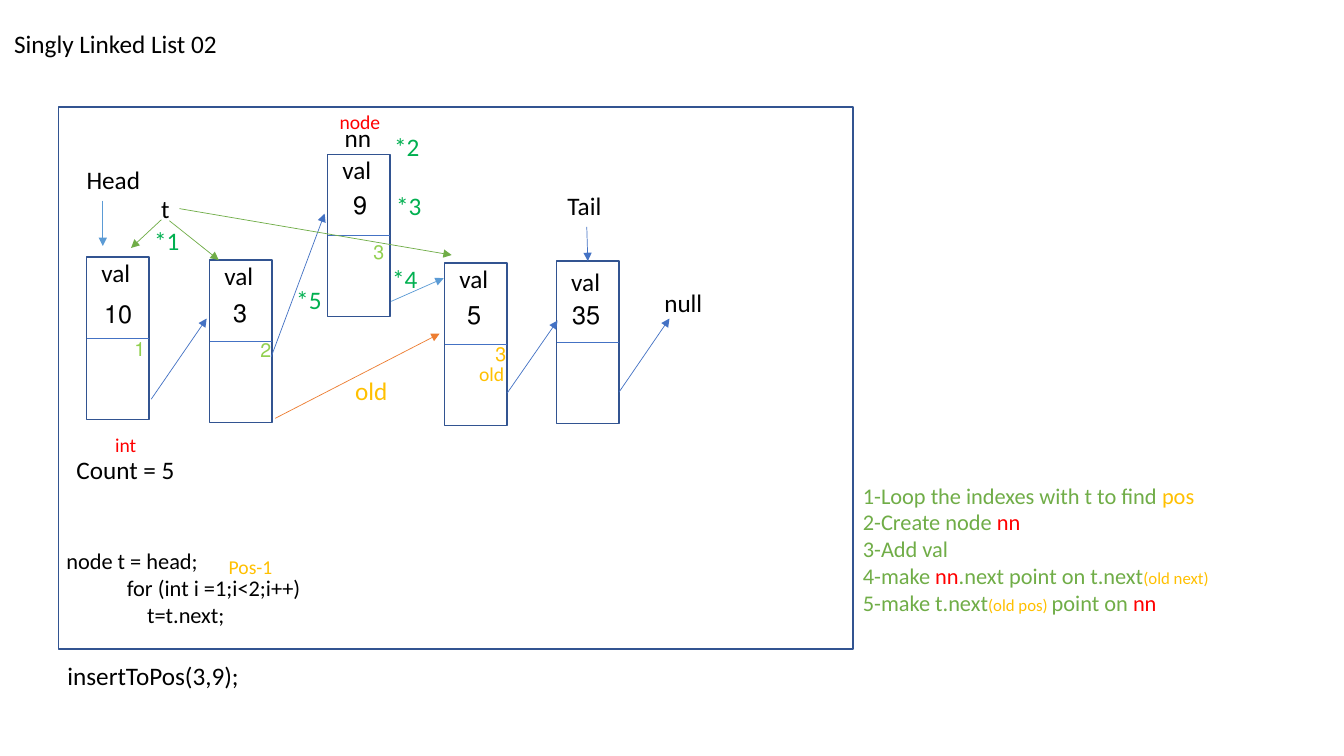
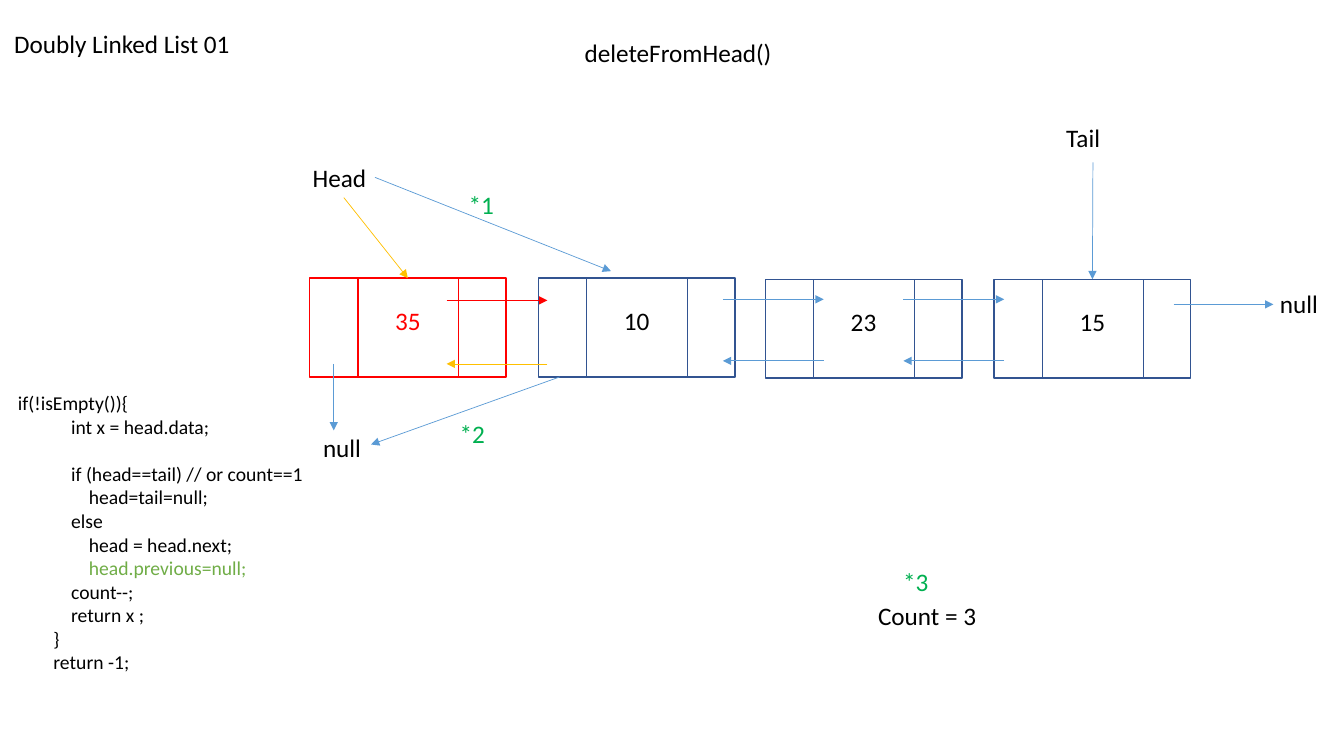
from dataclasses import dataclass
from typing import Any, Optional, Sequence

from lxml import etree
from pptx import Presentation
from pptx import util as u
from pptx.dml.color import RGBColor
from pptx.enum import shapes, text
from pptx.oxml import ns

PX = 9144  # EMU; 100 px to the inch
FONT = "Calibri"
BLACK = RGBColor(0x00, 0x00, 0x00)
WHITE = RGBColor(0xFF, 0xFF, 0xFF)
RED = RGBColor(0xFF, 0x00, 0x00)
GOLD = RGBColor(0xFF, 0xC0, 0x00)
ORANGE = RGBColor(0xED, 0x7D, 0x31)
GREEN = RGBColor(0x70, 0xAD, 0x47)
STEP_GREEN = RGBColor(0x00, 0xB0, 0x50)
LIME = RGBColor(0x92, 0xD0, 0x50)
NAVY = RGBColor(0x32, 0x54, 0x91)
BLUE = RGBColor(0x44, 0x72, 0xC4)
SKY = RGBColor(0x5B, 0x9B, 0xD5)

LEFT, CENTER, RIGHT = text.PP_ALIGN.LEFT, text.PP_ALIGN.CENTER, text.PP_ALIGN.RIGHT
LINE_HEIGHT = {18: 40, 16: 37, 14: 34}
NODE_WIDTH, NODE_HEIGHT = 62, 161
CELL_WIDTH, CELL_HEIGHT, DATA_INSET, DATA_WIDTH = 195, 98, 48, 100


@dataclass(frozen=True)
class Run:
    text: str
    color: RGBColor = BLACK
    size: int = 18


@dataclass(frozen=True)
class Label:
    x: int
    y: int
    width: int
    text: str
    color: RGBColor = BLACK
    size: int = 18
    align: Any = LEFT


@dataclass(frozen=True)
class Arrow:
    x1: int
    y1: int
    x2: int
    y2: int
    color: RGBColor = SKY


@dataclass(frozen=True)
class Node:
    """A singly linked node; value_right and value_y are offsets from its corner."""
    x: int
    y: int
    value: str
    value_right: int
    value_y: int
    val_y: int = -5


@dataclass(frozen=True)
class Cell:
    """A doubly linked node."""
    x: int
    y: int
    value: str
    line: RGBColor = NAVY
    color: RGBColor = BLACK


def px(length: int) -> u.Emu:
    return u.Emu(length * PX)


def add_run(paragraph: Any, run: Run) -> None:
    piece = paragraph.add_run()
    piece.text = run.text
    piece.font.name = FONT
    piece.font.size = u.Pt(run.size)
    piece.font.color.rgb = run.color


def add_lines(target: Any, x: int, y: int, width: int, height: int,
              lines: Sequence[Sequence[Run]], align: Any = LEFT) -> Any:
    """Add a text box with one paragraph for each list of runs."""
    box = target.add_textbox(px(x), px(y), px(width), px(height))
    frame = box.text_frame
    frame.word_wrap = True
    frame.auto_size = text.MSO_AUTO_SIZE.SHAPE_TO_FIT_TEXT
    for index, runs in enumerate(lines):
        paragraph = frame.add_paragraph() if index else frame.paragraphs[0]
        paragraph.alignment = align
        if align == RIGHT:
            paragraph._p.get_or_add_pPr().set("rtl", "1")
        for run in runs:
            add_run(paragraph, run)
    return box


def add_label(target: Any, label: Label) -> None:
    add_lines(target, label.x, label.y, label.width, LINE_HEIGHT[label.size],
              [[Run(label.text, label.color, label.size)]], label.align)


def add_box(target: Any, x: int, y: int, width: int, height: int,
            line: RGBColor = NAVY, fill: Optional[RGBColor] = None) -> Any:
    box = target.add_shape(shapes.MSO_SHAPE.RECTANGLE, px(x), px(y), px(width), px(height))
    box.shadow.inherit = False
    if fill is None:
        box.fill.background()
    else:
        box.fill.solid()
        box.fill.fore_color.rgb = fill
    box.line.color.rgb = line
    box.line.width = u.Pt(1)
    return box


def add_line(target: Any, arrow: Arrow, head: bool = True) -> Any:
    line = target.add_connector(shapes.MSO_CONNECTOR.STRAIGHT, px(arrow.x1), px(arrow.y1),
                                px(arrow.x2), px(arrow.y2))
    line.line.color.rgb = arrow.color
    line.line.width = u.Pt(0.5)
    if head:
        etree.SubElement(line.line._get_or_add_ln(), ns.qn("a:tailEnd"), type="triangle")
    etree.SubElement(line._element.spPr, ns.qn("a:effectLst"))
    return line


def add_node(target: Any, node: Node) -> Any:
    box = add_box(target, node.x, node.y, NODE_WIDTH, NODE_HEIGHT, fill=WHITE)
    middle = node.y + NODE_HEIGHT // 2
    divider = add_line(target, Arrow(node.x, middle, node.x + NODE_WIDTH, middle, BLUE), head=False)
    divider.begin_connect(box, 1)
    divider.end_connect(box, 3)
    add_label(target, Label(node.x - 1, node.y + node.val_y, 54, "val", align=RIGHT))
    add_label(target, Label(node.x + node.value_right - 50, node.y + node.value_y, 50,
                            node.value, align=RIGHT))
    return box


def add_cell(target: Any, cell: Cell) -> Any:
    group = target.add_group_shape().shapes
    outer = add_box(group, cell.x, cell.y, CELL_WIDTH, CELL_HEIGHT, cell.line)
    add_box(group, cell.x + DATA_INSET, cell.y, DATA_WIDTH, CELL_HEIGHT, cell.line)
    add_label(group, Label(cell.x + 61, cell.y + 22, 73, cell.value, cell.color, align=CENTER))
    return outer


def add_titled_slide(presentation: Any, title: str) -> Any:
    slide = presentation.slides.add_slide(presentation.slide_layouts[5])
    holder = slide.shapes.title
    holder.left, holder.top, holder.width, holder.height = px(4), px(23), px(268), px(40)
    frame = holder.text_frame
    frame.word_wrap = True
    frame.auto_size = text.MSO_AUTO_SIZE.NONE
    frame.vertical_anchor = text.MSO_ANCHOR.TOP
    frame.paragraphs[0].alignment = LEFT
    add_run(frame.paragraphs[0], Run(title))
    return slide


def add_diagram(target: Any, arrows: Sequence[Arrow], labels: Sequence[Label]) -> None:
    for arrow in arrows:
        add_line(target, arrow)
    for label in labels:
        add_label(target, label)


def build_insert_slide(presentation: Any) -> None:
    target = add_titled_slide(presentation, "Singly Linked List 02").shapes
    add_box(target, 58, 106, 788, 538)
    nodes = [
        Node(86, 255, "10", 55, 36),
        Node(208, 258, "3", 47, 32),
        Node(325, 153, "9", 49, 30),
        Node(441, 261, "5", 46, 31),
        Node(552, 259, "35", 53, 33, val_y=0),
    ]
    tail_box = [add_node(target, node) for node in nodes][-1]
    add_line(target, Arrow(582, 225, 583, 259, BLUE)).end_connect(tail_box, 0)
    arrows = [
        Arrow(102, 199, 102, 244),
        Arrow(150, 396, 205, 316, BLUE),
        Arrow(269, 354, 322, 212, BLUE),
        Arrow(503, 390, 553, 318, BLUE),
        Arrow(614, 389, 664, 316, BLUE),
        Arrow(388, 299, 440, 276),
        Arrow(273, 415, 436, 331, ORANGE),
        Arrow(160, 218, 130, 246, GREEN),
        Arrow(168, 219, 217, 258, GREEN),
        Arrow(178, 207, 448, 253, GREEN),
    ]
    labels = [
        Label(332, 116, 108, "nn"),
        Label(553, 184, 57, "Tail"),
        Label(66, 446, 151, "Count = 5"),
        Label(649, 280, 72, "null"),
        Label(76, 158, 108, "Head"),
        Label(101, 187, 77, "t", align=RIGHT),
        Label(57, 650, 199, "insertToPos(3,9);"),
        Label(325, 104, 62, "node", RED, 14, RIGHT),
        Label(83, 425, 62, "int", RED, 14, RIGHT),
        Label(340, 367, 54, "old", GOLD, align=RIGHT),
        Label(100, 329, 54, "1", LIME, 14, RIGHT),
        Label(225, 330, 54, "2", LIME, 14, RIGHT),
        Label(337, 233, 54, "3", LIME, 14, RIGHT),
        Label(458, 334, 54, "3", GOLD, 14, RIGHT),
        Label(456, 354, 54, "old", GOLD, 14, RIGHT),
        Label(217, 546, 83, "Pos-1", GOLD, 14),
        Label(143, 219, 50, "*1", STEP_GREEN),
        Label(381, 125, 50, "*2", STEP_GREEN),
        Label(383, 184, 50, "*3", STEP_GREEN),
        Label(379, 256, 50, "*4", STEP_GREEN),
        Label(284, 277, 50, "*5", STEP_GREEN),
    ]
    add_diagram(target, arrows, labels)
    steps = [
        [Run("1-Loop the indexes with t to find ", GREEN, 16), Run("pos", GOLD, 16)],
        [Run("2-Create node ", GREEN, 16), Run("nn", RED, 16)],
        [Run("3-Add val", GREEN, 16)],
        [Run("4-make ", GREEN, 16), Run("nn", RED, 16),
         Run(".next point on t.next", GREEN, 16), Run("(old next)", GOLD, 12)],
        [Run("5-make t.next", GREEN, 16), Run("(old pos) ", GOLD, 12),
         Run("point on ", GREEN, 16), Run("nn", RED, 16)],
    ]
    add_lines(target, 846, 473, 381, 145, steps)
    code = ["node t = head;", "            for (int i =1;i<2;i++)", "                t=t.next;"]
    add_lines(target, 56, 538, 291, 91, [[Run(line, size=16)] for line in code])


def build_delete_slide(presentation: Any) -> None:
    target = add_titled_slide(presentation, "Doubly Linked List 01").shapes
    cells = [
        Cell(307, 276, "35", RED, RED),
        Cell(534, 276, "10"),
        Cell(759, 277, "23"),
        Cell(986, 277, "15"),
    ]
    boxes = [add_cell(target, cell) for cell in cells]
    add_line(target, Arrow(341, 196, 405, 276, GOLD)).end_connect(boxes[0], 0)
    add_line(target, Arrow(1084, 161, 1084, 277)).end_connect(boxes[-1], 0)
    arrows = [
        Arrow(443, 298, 543, 298, RED),
        Arrow(543, 361, 443, 361, GOLD),
        Arrow(717, 297, 817, 297),
        Arrow(817, 358, 717, 358),
        Arrow(896, 297, 996, 297),
        Arrow(996, 358, 896, 358),
        Arrow(1164, 302, 1263, 302),
        Arrow(331, 361, 331, 427),
        Arrow(372, 176, 606, 269),
        Arrow(555, 374, 368, 441),
    ]
    labels = [
        Label(570, 32, 215, "deleteFromHead()"),
        Label(1041, 116, 60, "Tail", align=RIGHT),
        Label(203, 156, 170, "Head", align=RIGHT),
        Label(285, 424, 83, "null", align=RIGHT),
        Label(1194, 281, 123, "null", align=RIGHT),
        Label(861, 591, 151, "Count = 3"),
        Label(455, 183, 50, "*1", STEP_GREEN),
        Label(446, 410, 50, "*2", STEP_GREEN),
        Label(886, 557, 50, "*3", STEP_GREEN),
    ]
    add_diagram(target, arrows, labels)
    code = [
        "if(!isEmpty()){",
        "            int x = head.data;",
        "            if (head==tail) // or count==1",
        "                head=tail=null;",
        "            else",
        "                head = head.next;",
        "                head.previous=null;",
        "            count--;",
        "            return x ;",
        "        }",
        "        return -1;",
    ]
    lines = [[Run(line, GREEN if "previous" in line else BLACK, 14)] for line in code]
    box = add_lines(target, 8, 383, 667, 293, lines)
    box.text_frame.paragraphs[2].space_before = u.Pt(17)


def main() -> None:
    presentation = Presentation()
    presentation.slide_width, presentation.slide_height = px(1333), px(750)
    build_insert_slide(presentation)
    build_delete_slide(presentation)
    presentation.save("out.pptx")


if __name__ == "__main__":
    main()
